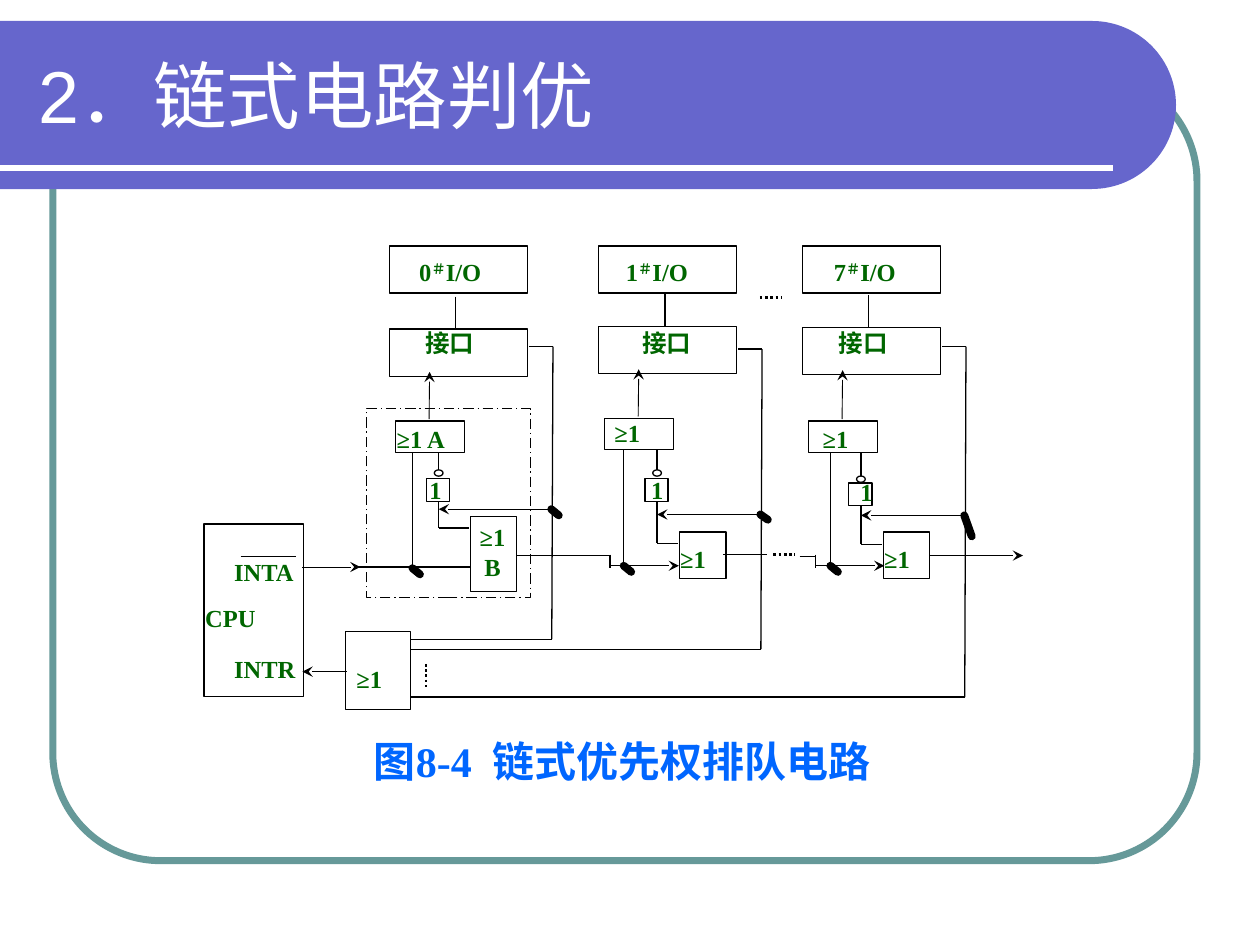
import dataclasses
import math
import typing

import lxml.etree
import pptx
import pptx.dml.color
import pptx.enum.dml
import pptx.enum.shapes
import pptx.enum.text
import pptx.oxml.ns
import pptx.util

Pt = pptx.util.Pt
Shape = pptx.enum.shapes.MSO_SHAPE
Dash = pptx.enum.dml.MSO_LINE
Align = pptx.enum.text.PP_ALIGN
COLORS = {"frame": "669999", "banner": "6666CC", "white": "FFFFFF",
          "ink": "000000", "label": "006600", "caption": "0066FF"}


@dataclasses.dataclass
class Box:
    left: float
    top: float
    width: float
    height: float
    kind: typing.Any = Shape.RECTANGLE
    dash: typing.Any = None
    color: str = "ink"
    weight: float = 0.75


@dataclasses.dataclass
class Wire:
    x1: float
    y1: float
    x2: float
    y2: float
    weight: float = 0.75
    arrow: bool = False
    dash: typing.Any = None
    color: str = "ink"
    round_cap: bool = False


@dataclasses.dataclass
class Label:
    text: str
    left: float
    top: float
    width: float = 66
    height: float = 35
    size: float = 14
    color: str = "label"
    align: typing.Any = Align.JUSTIFY


@dataclasses.dataclass
class Stage:
    number: str
    left: float
    interface_top: float
    gate_top: float
    stem_x: float
    bubble_top: float
    inverter_top: float
    or_top: float
    or_height: float
    or_input_y: float
    request_y: float
    feedback_y: float
    return_y: float
    chain_x: float
    chain_y: float
    node_height: float
    number_x: float
    interface_x: float
    gate_label: Label
    inverter_label: Label
    or_label: Label


def rgb(name: str) -> pptx.dml.color.RGBColor:
    return pptx.dml.color.RGBColor.from_string(COLORS[name])


def draw_box(slide, box: Box):
    shape = slide.shapes.add_shape(box.kind, Pt(box.left), Pt(box.top), Pt(box.width), Pt(box.height))
    shape.shadow.inherit = False
    shape.fill.background()
    shape.line.color.rgb = rgb(box.color)
    shape.line.width = Pt(box.weight)
    if box.dash:
        shape.line.dash_style = box.dash
    return shape


def draw_wire(slide, wire: Wire) -> None:
    line = slide.shapes.add_connector(pptx.enum.shapes.MSO_CONNECTOR.STRAIGHT,
                                      Pt(wire.x1), Pt(wire.y1), Pt(wire.x2), Pt(wire.y2))
    line.line.color.rgb = rgb(wire.color)
    line.line.width = Pt(wire.weight)
    if wire.dash:
        line.line.dash_style = wire.dash
    properties = line._element.spPr
    outline = properties.find(pptx.oxml.ns.qn("a:ln"))
    if wire.round_cap:
        outline.set("cap", "rnd")
    if wire.arrow:
        lxml.etree.SubElement(outline, pptx.oxml.ns.qn("a:tailEnd"), type="stealth")
    lxml.etree.SubElement(properties, pptx.oxml.ns.qn("a:effectLst"))


def format_span(span, size: float, color: str, font: str, bold: bool) -> None:
    span.font.size = Pt(size)
    span.font.name = font
    span.font.bold = bold
    span.font.color.rgb = rgb(color)


def draw_label(slide, label: Label) -> None:
    box = slide.shapes.add_textbox(Pt(label.left), Pt(label.top), Pt(label.width), Pt(label.height))
    box.text_frame.word_wrap = True
    box.text_frame.text = label.text
    for para in box.text_frame.paragraphs:
        para.alignment = label.align
        if "＃" in para.text:
            parts = para.text.partition("＃")
            para.text = parts[0]
            for part in parts[1:]:
                para.add_run().text = part
        for span in para.runs:
            format_span(span, label.size, label.color, "Times New Roman", True)
            if span.text == "＃":
                span.font._element.set("baseline", "30000")


def draw_node(slide, x: float, y: float, height: float = 3.5) -> None:
    draw_wire(slide, Wire(x, y, x + 4.3, y + height, 4.5, round_cap=True))


def draw_stage(slide, stage: Stage) -> None:
    left, stem, rail = stage.left, stage.stem_x, stage.left + 93.5
    gate_bottom = stage.gate_top + 18
    boxes = [
        Box(left, 140.5, 79, 27),
        Box(left, stage.interface_top, 79, 27),
        Box(left + 3.5, stage.gate_top, 39.5, 18),
        Box(stem - 2.5, stage.bubble_top, 5, 3.6, Shape.OVAL),
        Box(stem - 7, stage.inverter_top, 13.3, 13),
        Box(left + 46.3, stage.or_top, 26.6, stage.or_height),
    ]
    wires = [
        Wire(left + 38, stage.interface_top - 18.5, left + 38, stage.interface_top),
        Wire(left + 22.7, stage.gate_top - 1, left + 23, stage.interface_top + 24.5, 0.5, True),
        Wire(stem, gate_bottom, stem, stage.bubble_top),
        Wire(stem, stage.inverter_top + 13, stem, stage.or_input_y),
        Wire(stem, stage.or_input_y, left + 45.5, stage.or_input_y),
        Wire(left + 80, stage.request_y, rail, stage.request_y),
        Wire(rail, stage.request_y, rail - 0.7, stage.return_y),
        Wire(235, stage.return_y, rail - 0.7, stage.return_y),
        Wire(rail, stage.feedback_y, stem, stage.feedback_y, 0.5, True),
        Wire(stage.chain_x, gate_bottom, stage.chain_x, stage.chain_y),
    ]
    for box in boxes:
        draw_box(slide, box)
    for wire in wires:
        draw_wire(slide, wire)
    draw_node(slide, rail - 1, stage.feedback_y, stage.node_height)
    draw_node(slide, stage.chain_x, stage.chain_y)
    for label in (Label(stage.number + "＃I/O", stage.number_x, 143.3, 66.5, 64),
                  Label("接口", stage.interface_x, 184, 66.5, 40),
                  stage.gate_label, stage.inverter_label, stage.or_label):
        draw_label(slide, label)


STAGES = [
    Stage("0", 222.5, 188, 240.5, 250.7, 268.5, 273.5, 295, 43, 301.7, 198, 291, 365.3,
          235.7, 324.7, 3.5, 232.5, 236, Label("≥1 A", 219.6, 239),
          Label("1", 238.3, 268, 37), Label("≥1\nB", 255, 295, 53, 59, align=Align.CENTER)),
    Stage("1", 342, 186.5, 239, 375.5, 268.5, 273.5, 304, 26.5, 310.5, 199.5, 294, 371,
          356.4, 323.3, 3, 350.6, 360, Label("≥1", 344, 235.5, 52),
          Label("1", 365, 268, 35), Label("≥1", 381.6, 307.4, 52)),
    Stage("7", 458.5, 187, 240.5, 492, 272, 276, 304, 26.5, 311, 198, 294.5, 398.3,
          474.5, 323.3, 12, 469.4, 472.3, Label("≥1", 463, 239, 52),
          Label("1", 484.6, 269.3, 35), Label("≥1", 498.2, 307.4, 52)),
]

CHAIN_WIRES = [
    Wire(172.8, 324, 206, 324, 0.5, True), Wire(204, 324, 269, 324),
    Wire(295.2, 317.5, 348.5, 317.5), Wire(348.5, 317, 348.5, 324.5),
    Wire(348.5, 323.3, 388, 323.3, 0.5, True), Wire(413.3, 317, 438.5, 317),
    Wire(457, 318, 466, 318), Wire(466, 317, 466, 324.5),
    Wire(466, 323.3, 505.4, 323.3, 0.5, True), Wire(531.4, 317.5, 584.6, 317.5, arrow=True),
    Wire(198, 383.8, 172.8, 383.8, 0.5, True), Wire(137.5, 318.2, 169.2, 318.2),
    Wire(434.2, 170, 447, 170, 1.5, dash=Dash.ROUND_DOT),
    Wire(442, 317, 454.3, 317, 1.5, dash=Dash.ROUND_DOT),
    Wire(243.4, 379.4, 243.4, 392.4, 1.5, dash=Dash.ROUND_DOT),
]
SHARED_BOXES = [Box(116.6, 299.5, 57, 98.6), Box(197.3, 360.7, 37.4, 44.6),
                Box(209.5, 233.3, 93.6, 108, dash=Dash.LONG_DASH_DOT)]
SHARED_LABELS = [Label("INTA", 126.7, 314.6), Label("CPU", 110.2, 341.3),
                 Label("INTR", 126.7, 370), Label("≥1", 196.6, 375.8, 52),
                 Label("图8-4  链式优先权排队电路", 206.6, 416.9, 311.8, 35.3, 24, "caption")]


def draw_background(slide) -> None:
    frame = draw_box(slide, Box(30.2, 41.8, 653.8, 450, Shape.ROUNDED_RECTANGLE,
                                color="frame", weight=4))
    frame.adjustments[0] = 0.137
    top, radius, center_x = 12, 48, 624
    angles = [math.radians(degree) for degree in range(-90, 91, 3)]
    arc = [(Pt(center_x + radius * math.cos(angle)), Pt(top + radius + radius * math.sin(angle)))
           for angle in angles]
    builder = slide.shapes.build_freeform(Pt(0), Pt(top))
    builder.add_line_segments(arc + [(Pt(0), Pt(top + 2 * radius))], close=True)
    banner = builder.convert_to_shape()
    banner.shadow.inherit = False
    banner.fill.solid()
    banner.fill.fore_color.rgb = rgb("banner")
    banner.line.fill.background()
    draw_wire(slide, Wire(0, 96, 636, 96, 3, color="white"))


def place_title(slide) -> None:
    title = slide.shapes.title
    slide.shapes._spTree.append(title._element)
    title.left, title.top, title.width, title.height = Pt(15), Pt(18), Pt(631.5), Pt(72)
    frame = title.text_frame
    frame.text = "2．链式电路判优"
    frame.auto_size = pptx.enum.text.MSO_AUTO_SIZE.NONE
    frame.vertical_anchor = pptx.enum.text.MSO_ANCHOR.MIDDLE
    para = frame.paragraphs[0]
    para.alignment = Align.LEFT
    format_span(para.runs[0], 42, "white", "Arial", False)


def main() -> None:
    deck = pptx.Presentation()
    deck.slide_width, deck.slide_height = Pt(720), Pt(540)
    page = deck.slides.add_slide(deck.slide_layouts[5])
    draw_background(page)
    place_title(page)
    for box in SHARED_BOXES:
        draw_box(page, box)
    for wire in CHAIN_WIRES:
        draw_wire(page, wire)
    for stage in STAGES:
        draw_stage(page, stage)
    for label in SHARED_LABELS:
        draw_label(page, label)
    deck.save("out.pptx")


if __name__ == "__main__":
    main()
